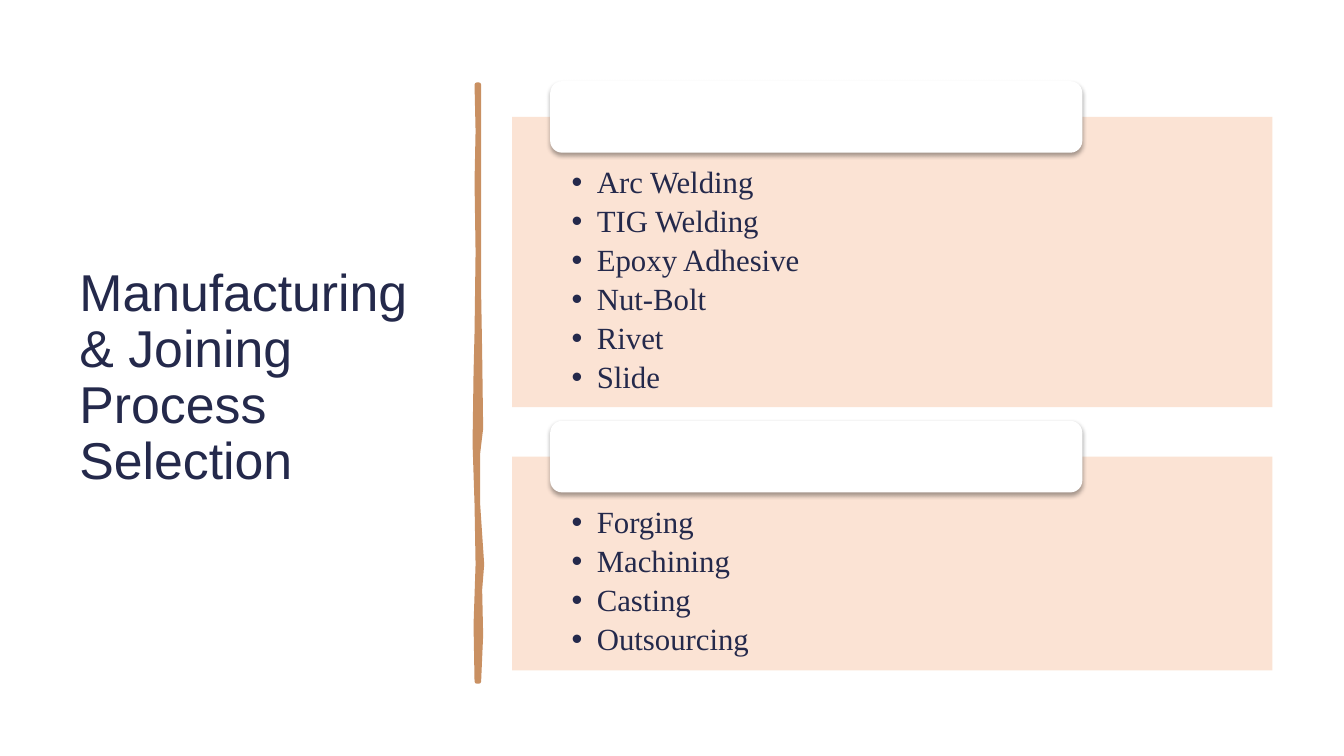
from lxml import etree
from pptx import Presentation
from pptx.dml.color import RGBColor
from pptx.enum.shapes import MSO_SHAPE
from pptx.enum.text import MSO_ANCHOR, PP_ALIGN
from pptx.oxml.ns import qn
from pptx.util import Inches, Pt

RECT = MSO_SHAPE.RECTANGLE
ROUND = MSO_SHAPE.ROUNDED_RECTANGLE
MIDDLE, TOP = MSO_ANCHOR.MIDDLE, MSO_ANCHOR.TOP
LEFT = PP_ALIGN.LEFT

WIDE, HIGH = 13.33, 7.5
INK, PEACH, WOOD, WHITE = "24294B", "FBE1D0", "C99062", "FFFFFF"

# Panels share one column; each tab straddles its panel's top edge.
COL_X, COL_W = 5.08, 7.54
TAB_X, TAB_W, TAB_H = COL_X + 0.05 * COL_W, 0.7 * COL_W, 0.71

PANELS = [
    (1.16, 2.88, ["Arc Welding", "TIG Welding", "Epoxy Adhesive",
                  "Nut-Bolt", "Rivet", "Slide"]),
    (4.53, 2.12, ["Forging", "Machining", "Casting", "Outsourcing"]),
]

# Edges of the wavy rod, both from top to bottom.
ROD_RIGHT = [(4.75, 0.84), (4.75, 2.08), (4.75, 2.9), (4.76, 3.5),
             (4.77, 4.25), (4.74, 4.5), (4.74, 5), (4.78, 5.6),
             (4.76, 5.85), (4.77, 6.3), (4.75, 6.76)]
ROD_LEFT = [(4.73, 0.84), (4.74, 1.3), (4.73, 1.8), (4.74, 2.5),
            (4.73, 3.3), (4.72, 3.7), (4.71, 4.4), (4.73, 5),
            (4.74, 5.6), (4.72, 6.2), (4.73, 6.76)]


def color(code):
    return RGBColor.from_string(code)


def add(parent, tag, **attrs):
    return etree.SubElement(parent, qn(tag), attrs)


def style(run, font, size):
    run.font.name = font
    run.font.size = Pt(size)
    run.font.color.rgb = color(INK)


def add_box(slide, kind, x, y, w, h, fill):
    box = slide.shapes.add_shape(kind, *map(Inches, (x, y, w, h)))
    box.shadow.inherit = False
    box.fill.solid()
    box.fill.fore_color.rgb = color(fill)
    box.line.fill.background()
    return box


def add_title(slide, text):
    box = slide.shapes.add_textbox(*map(Inches, (0.69, 0.7, 3.74, 6.11)))
    frame = box.text_frame
    frame.word_wrap = True
    frame.vertical_anchor = MIDDLE
    frame.text = text
    para = frame.paragraphs[0]
    para.line_spacing = 0.9
    style(para.runs[0], "Arial", 37)


def add_rod(slide):
    edge = [(Inches(x), Inches(y)) for x, y in ROD_RIGHT + ROD_LEFT[::-1]]
    path = slide.shapes.build_freeform(*edge[0])
    path.add_line_segments(edge[1:], close=True)
    rod = path.convert_to_shape()
    rod.shadow.inherit = False
    rod.fill.solid()
    rod.fill.fore_color.rgb = color(WOOD)
    rod.line.color.rgb = color(WOOD)
    rod.line.width = Pt(3.25)


def add_items(frame, items):
    frame.word_wrap = True
    frame.vertical_anchor = TOP
    frame.margin_left = frame.margin_right = Inches(0.59)
    frame.margin_top, frame.margin_bottom = Inches(0.5), Inches(0.17)
    frame.text = "\n".join(items)
    for para in frame.paragraphs:
        para.alignment = LEFT
        para.line_spacing = 0.9
        para.space_after = Pt(4)
        props = para._p.get_or_add_pPr()
        props.set("marL", str(Inches(0.25)))
        props.set("indent", str(-Inches(0.25)))
        add(props, "a:buFont", typeface="Arial")
        add(props, "a:buChar", char="•")
        style(para.runs[0], "Times New Roman", 22)


def add_panel(slide, y, h, items):
    panel = add_box(slide, RECT, COL_X, y, COL_W, h, PEACH)
    tint = panel._element.spPr.find(qn("a:solidFill"))[0]
    add(tint, "a:alpha", val="90000")
    add_items(panel.text_frame, items)


def add_tab(slide, mid):
    """Blank white tab, centred on height mid, with a soft shadow below."""
    tab = add_box(slide, ROUND, TAB_X, mid - TAB_H / 2, TAB_W, TAB_H, WHITE)
    effect = tab._element.spPr.find(qn("a:effectLst"))
    shade = add(effect, "a:outerShdw", blurRad=str(Pt(3.1)),
                dist=str(Pt(1.8)), dir="5400000", rotWithShape="0")
    tone = add(shade, "a:srgbClr", val="000000")
    add(tone, "a:alpha", val="35000")


def main():
    deck = Presentation()
    deck.slide_width, deck.slide_height = Inches(WIDE), Inches(HIGH)
    slide = deck.slides.add_slide(deck.slide_layouts[6])
    add_title(slide, "Manufacturing & Joining Process Selection")
    add_rod(slide)
    for y, h, items in PANELS:
        add_panel(slide, y, h, items)
        add_tab(slide, y)
    deck.save("out.pptx")


if __name__ == "__main__":
    main()
